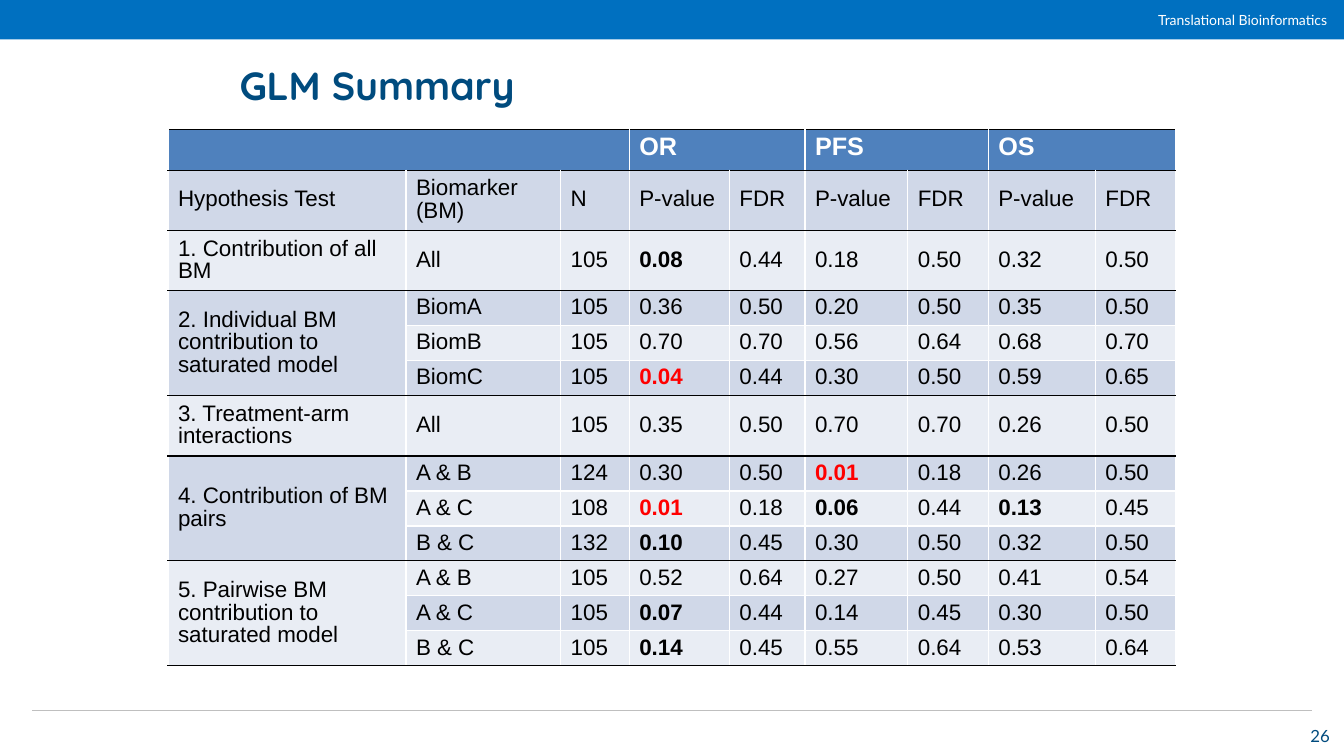
from lxml import etree
from pptx import Presentation
from pptx.dml.color import RGBColor
from pptx.enum.shapes import MSO_CONNECTOR, MSO_SHAPE
from pptx.enum.text import MSO_ANCHOR, PP_ALIGN
from pptx.oxml.ns import qn
from pptx.util import Pt

LEFT, RIGHT = PP_ALIGN.LEFT, PP_ALIGN.RIGHT
TOP, MIDDLE = MSO_ANCHOR.TOP, MSO_ANCHOR.MIDDLE
RECTANGLE, STRAIGHT = MSO_SHAPE.RECTANGLE, MSO_CONNECTOR.STRAIGHT

BANNER_BLUE = RGBColor(0x00, 0x70, 0xC0)
NAVY = RGBColor(0x00, 0x4B, 0x7E)
HEADER_BLUE = RGBColor(0x4F, 0x81, 0xBD)
BANDS = [RGBColor(0xE9, 0xED, 0xF4), RGBColor(0xD0, 0xD8, 0xE8)]
GREY = RGBColor(0xBF, 0xBF, 0xBF)
WHITE = RGBColor(0xFF, 0xFF, 0xFF)
BLACK = RGBColor(0x00, 0x00, 0x00)
RED = RGBColor(0xFF, 0x00, 0x00)

# Content: a trailing * marks a notable P-value
TITLE = "GLM Summary"
OUTCOMES = ["OR", "PFS", "OS"]
COLUMN_NAMES = ["Hypothesis Test", "Biomarker (BM)", "N"] + ["P-value", "FDR"] * 3
TESTS = [
    ("1. Contribution of all BM", [
        "All|105|0.08*|0.44|0.18|0.50|0.32|0.50"]),
    ("2. Individual BM contribution to saturated model", [
        "BiomA|105|0.36|0.50|0.20|0.50|0.35|0.50",
        "BiomB|105|0.70|0.70|0.56|0.64|0.68|0.70",
        "BiomC|105|0.04*|0.44|0.30|0.50|0.59|0.65"]),
    ("3. Treatment-arm interactions", [
        "All|105|0.35|0.50|0.70|0.70|0.26|0.50"]),
    ("4. Contribution of BM pairs", [
        "A & B|124|0.30|0.50|0.01*|0.18|0.26|0.50",
        "A & C|108|0.01*|0.18|0.06*|0.44|0.13*|0.45",
        "B & C|132|0.10*|0.45|0.30|0.50|0.32|0.50"]),
    ("5. Pairwise BM contribution to saturated model", [
        "A & B|105|0.52|0.64|0.27|0.50|0.41|0.54",
        "A & C|105|0.07*|0.44|0.14|0.45|0.30|0.50",
        "B & C|105|0.14*|0.45|0.55|0.64|0.53|0.64"]),
]
COLUMN_WIDTHS = [170, 110.5, 49, 71.5, 54, 73.5, 57.5, 76.5, 57.5]
HEADER_HEIGHT, TWO_LINE_HEIGHT, ONE_LINE_HEIGHT = 28.6, 43.1, 25


def format_text(paragraph, font_name, size, color, bold=False, alignment=LEFT):
    paragraph.alignment = alignment
    paragraph.line_spacing = 0.9
    for run in paragraph.runs:
        run.font.name = font_name
        run.font.size = Pt(size)
        run.font.bold = bold
        run.font.color.rgb = color


def add_label(slide, text, box, size, color):
    label = slide.shapes.add_textbox(*map(Pt, box))
    label.text_frame.word_wrap = False
    label.text_frame.text = text
    format_text(label.text_frame.paragraphs[0], "Lato", size, color, alignment=RIGHT)


def set_borders(cell, top, bottom):
    properties = cell._tc.get_or_add_tcPr()
    sides = [("a:lnL", WHITE), ("a:lnR", WHITE), ("a:lnT", top), ("a:lnB", bottom)]
    for position, (tag, color) in enumerate(sides):
        line = etree.Element(qn(tag), w=str(Pt(1)))
        fill = etree.SubElement(line, qn("a:solidFill"))
        etree.SubElement(fill, qn("a:srgbClr"), val=str(color))
        properties.insert(position, line)


def add_summary_table(slide):
    # Lay the tests out as rows, noting where each test starts
    rows = [["", "", ""] + [part for name in OUTCOMES for part in (name, "")],
            COLUMN_NAMES]
    heights = [HEADER_HEIGHT, TWO_LINE_HEIGHT]
    starts = [0, 1]
    for name, lines in TESTS:
        starts.append(len(rows))
        heights += [TWO_LINE_HEIGHT if len(lines) == 1 else ONE_LINE_HEIGHT] * len(lines)
        rows += [[name if i == 0 else ""] + line.split("|")
                 for i, line in enumerate(lines)]
    ends = [start - 1 for start in starts[1:]] + [len(rows) - 1]

    frame = slide.shapes.add_table(len(rows), len(COLUMN_WIDTHS), Pt(120), Pt(92.7),
                                   Pt(sum(COLUMN_WIDTHS)), Pt(sum(heights)))
    table = frame.table
    for column, width in zip(table.columns, COLUMN_WIDTHS):
        column.width = Pt(width)
    for row, height in zip(table.rows, heights):
        row.height = Pt(height)

    # Merge header groups and multi-row test names
    for first, last in [(0, 2), (3, 4), (5, 6), (7, 8)]:
        table.cell(0, first).merge(table.cell(0, last))
    for start, end in zip(starts, ends):
        if end > start:
            table.cell(start, 0).merge(table.cell(end, 0))

    for r, values in enumerate(rows):
        for c, value in enumerate(values):
            cell = table.cell(r, c)
            header, notable = r == 0, value.endswith("*")
            text = value.rstrip("*")
            cell.text_frame.text = text
            color = WHITE if header else BLACK
            if notable and float(text) < 0.05:
                color = RED
            format_text(cell.text_frame.paragraphs[0], "Arial", 18 if header else 16,
                        color, header or notable)
            cell.vertical_anchor = TOP if header else MIDDLE
            cell.fill.solid()
            cell.fill.fore_color.rgb = HEADER_BLUE if header else BANDS[r % 2]
            closes = r in ends or cell.is_merge_origin
            set_borders(cell, BLACK if r in starts else WHITE,
                        BLACK if closes else WHITE)


def main():
    presentation = Presentation()
    presentation.slide_width, presentation.slide_height = Pt(960), Pt(540)
    slide = presentation.slides.add_slide(presentation.slide_layouts[5])

    # Banner
    banner = slide.shapes.add_shape(RECTANGLE, 0, 0, Pt(960), Pt(28.2))
    banner.shadow.inherit = False
    banner.fill.solid()
    banner.fill.fore_color.rgb = BANNER_BLUE
    banner.line.fill.background()
    add_label(slide, "Translational Bioinformatics", (817.5, 6, 137.5, 18), 10, WHITE)

    # Footer rule and slide number
    rule = slide.shapes.add_connector(STRAIGHT, Pt(23), Pt(507.5), Pt(937), Pt(507.5))
    rule.line.color.rgb = GREY
    rule.line.width = Pt(0.5)
    etree.SubElement(rule._element.spPr, qn("a:effectLst"))
    add_label(slide, "26", (924.5, 516.5, 32.5, 21), 12, NAVY)

    # Title
    title = slide.shapes.title
    title.left, title.top, title.width, title.height = map(Pt, (167.5, 44, 672.5, 38))
    title_frame = title.text_frame
    title_frame.margin_left = title_frame.margin_right = Pt(3.6)
    title_frame.margin_top = title_frame.margin_bottom = Pt(3.6)
    title_frame.vertical_anchor = MIDDLE
    title_frame.text = TITLE
    format_text(title_frame.paragraphs[0], "Quicksand", 28, NAVY, True)

    add_summary_table(slide)
    presentation.save("out.pptx")


if __name__ == "__main__":
    main()
